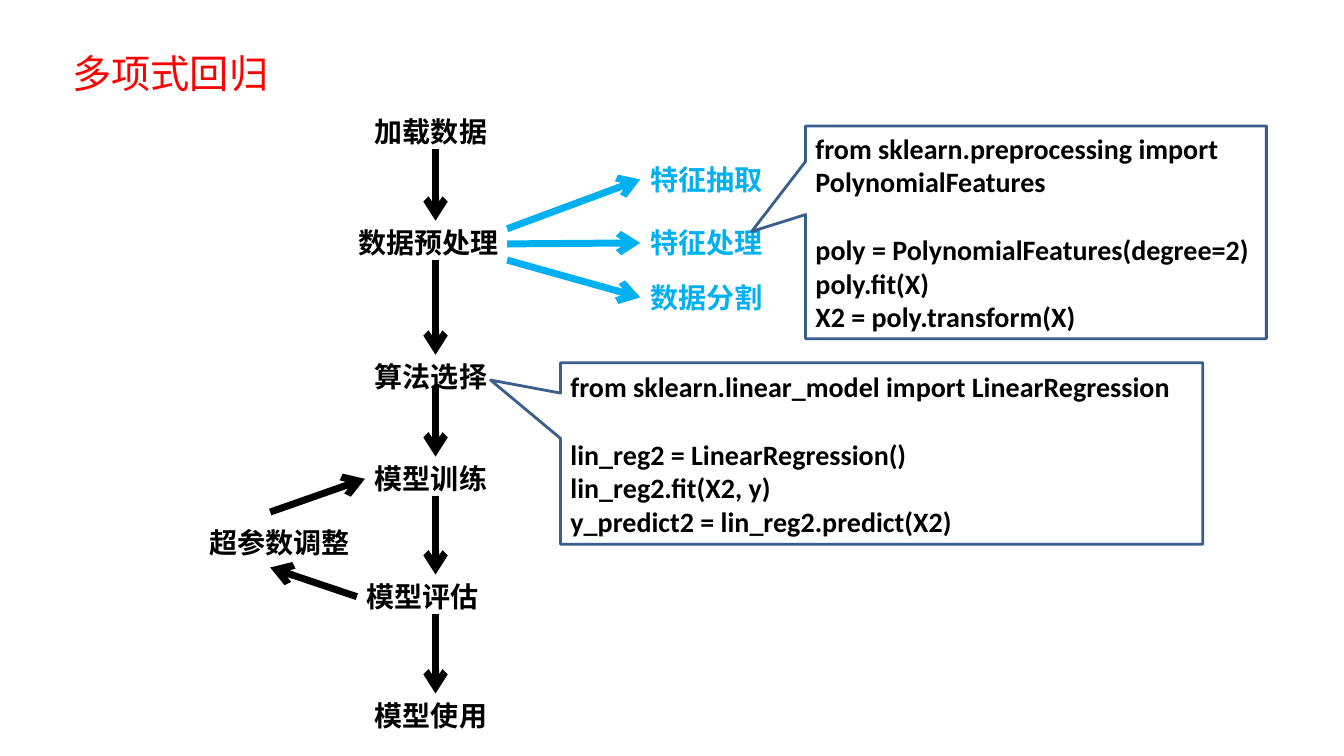
from dataclasses import dataclass

from lxml import etree
from pptx import Presentation
from pptx.dml.color import RGBColor
from pptx.enum import shapes, text
from pptx.oxml import ns
from pptx.util import Inches, Pt


@dataclass(frozen=True)
class Theme:
    black: RGBColor = RGBColor(0x00, 0x00, 0x00)
    white: RGBColor = RGBColor(0xFF, 0xFF, 0xFF)
    red: RGBColor = RGBColor(0xFF, 0x00, 0x00)
    cyan: RGBColor = RGBColor(0x00, 0xB0, 0xF0)
    navy: RGBColor = RGBColor(0x3A, 0x5F, 0x8C)
    latin: str = "Calibri"
    asian: str = "Noto Sans CJK SC"
    title: int = 28
    body: int = 20
    arrow: int = 5
    frame: int = 2


THEME = Theme()

# Main steps: left, top, words
STEPS = [
    (3.62, 1.09, "加载数据"),
    (3.46, 2.19, "数据预处理"),
    (3.62, 3.52, "算法选择"),
    (3.62, 4.53, "模型训练"),
    (3.54, 5.70, "模型评估"),
    (3.62, 6.88, "模型使用"),
]
SPINE = 4.32
STARTS = [1.48, 2.58, 3.83, 4.92, 6.09]

# Parts of preprocessing: top, start of arrow, words
PARTS = [
    (1.56, 2.27, "特征抽取"),
    (2.19, 2.42, "特征处理"),
    (2.73, 2.58, "数据分割"),
]

# Each callout: box, tail, groups of code lines
FEATURES = (
    (7.99, 1.25, 4.57, 2.11),
    (-0.617, -0.004),
    [
        ["from sklearn.preprocessing import PolynomialFeatures"],
        ["poly = PolynomialFeatures(degree=2)", "poly.fit(X)", "X2 = poly.transform(X)"],
    ],
)
MODEL = (
    (5.56, 3.6, 6.37, 1.8),
    (-0.609, -0.405),
    [
        ["from sklearn.linear_model import LinearRegression"],
        ["lin_reg2 = LinearRegression()", "lin_reg2.fit(X2, y)", "y_predict2 = lin_reg2.predict(X2)"],
    ],
)


def add_run(para, words, color, size=THEME.body, bold=True, face=THEME.latin):
    run = para.add_run()
    run.text = words
    font = run.font
    font.size, font.bold, font.name = Pt(size), bold, face
    font.color.rgb = color
    asian = etree.SubElement(font._element, ns.qn("a:ea"))
    asian.set("typeface", THEME.asian)


def add_box(slide, left, top, width, height):
    box = slide.shapes.add_textbox(*map(Inches, (left, top, width, height)))
    box.text_frame.word_wrap = False
    box.text_frame.auto_size = text.MSO_AUTO_SIZE.SHAPE_TO_FIT_TEXT
    return box


def add_title(slide, words):
    box = add_box(slide, 0.62, 0.44, 2.17, 0.57)
    add_run(box.text_frame.paragraphs[0], words, THEME.red, THEME.title, False, THEME.asian)


def add_label(slide, left, top, words, color=THEME.black):
    """Add a bold label whose width follows its number of characters."""
    box = add_box(slide, left, top, 0.21 + 0.28 * len(words), 0.44)
    add_run(box.text_frame.paragraphs[0], words, color)
    return box


def add_arrow(slide, start, end, color=THEME.black):
    line = slide.shapes.add_connector(
        shapes.MSO_CONNECTOR.STRAIGHT, *map(Inches, (*start, *end))
    )
    line.line.color.rgb = color
    line.line.width = Pt(THEME.arrow)
    tail = etree.SubElement(line.line._get_or_add_ln(), ns.qn("a:tailEnd"))
    tail.set("type", "arrow")
    etree.SubElement(line._element.spPr, ns.qn("a:effectLst"))
    return line


def add_callout(slide, place, tail, groups):
    """Add a code callout with a one-line gap between groups."""
    shape = slide.shapes.add_shape(
        shapes.MSO_SHAPE.RECTANGULAR_CALLOUT, *map(Inches, place)
    )
    shape.shadow.inherit = False
    shape.adjustments[0], shape.adjustments[1] = tail
    shape.fill.solid()
    shape.fill.fore_color.rgb = THEME.white
    shape.line.color.rgb = THEME.navy
    shape.line.width = Pt(THEME.frame)
    frame = shape.text_frame
    frame.word_wrap = True
    frame.vertical_anchor = text.MSO_ANCHOR.MIDDLE
    para = frame.paragraphs[0]
    for g, group in enumerate(groups):
        for n, code in enumerate(group):
            if g or n:
                para = frame.add_paragraph()
            para.alignment = text.PP_ALIGN.LEFT
            if g and n == 0:
                para.space_before = Pt(1.22 * THEME.body)
            add_run(para, code, THEME.black)


def add_flow(slide):
    labels = [add_label(slide, *step) for step in STEPS]
    for start, (_, top, _) in zip(STARTS, STEPS[1:]):
        add_arrow(slide, (SPINE, start), (SPINE, top))
    return labels


def add_parts(slide):
    for top, start, words in PARTS:
        label = add_label(slide, 6.35, top, words, THEME.cyan)
        arrow = add_arrow(slide, (5.03, start), (6.35, top + 0.22), THEME.cyan)
        arrow.end_connect(label, 1)


def add_tuning(slide, train, assess):
    """Add the loop from assessment back to training."""
    add_label(slide, 1.98, 5.16, "超参数调整")
    add_arrow(slide, (2.68, 5.08), (3.62, 4.75)).end_connect(train, 1)
    add_arrow(slide, (3.54, 5.92), (2.68, 5.63)).begin_connect(assess, 1)


def main():
    deck = Presentation()
    deck.slide_width, deck.slide_height = Inches(13.33), Inches(7.5)
    slide = deck.slides.add_slide(deck.slide_layouts[6])
    add_title(slide, "多项式回归")
    labels = add_flow(slide)
    add_parts(slide)
    add_tuning(slide, labels[3], labels[4])
    for callout in (FEATURES, MODEL):
        add_callout(slide, *callout)
    deck.save("out.pptx")


if __name__ == "__main__":
    main()
